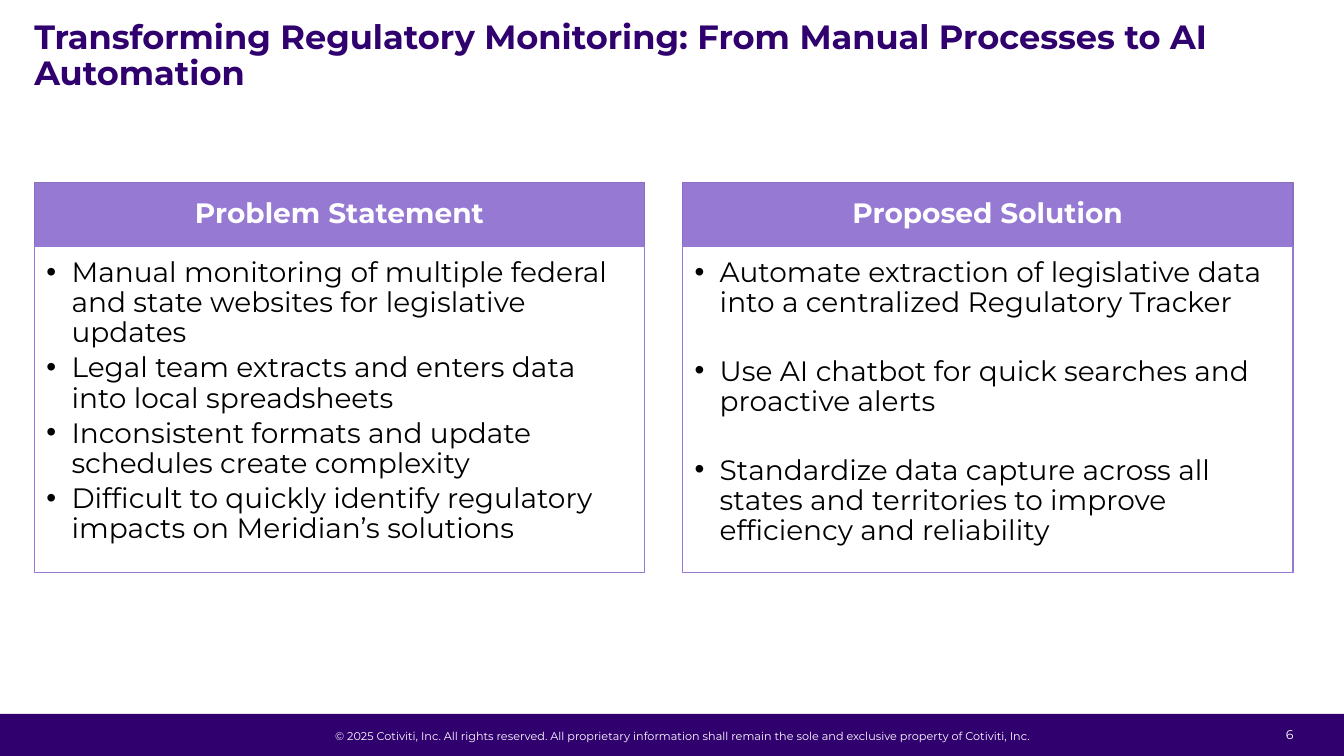
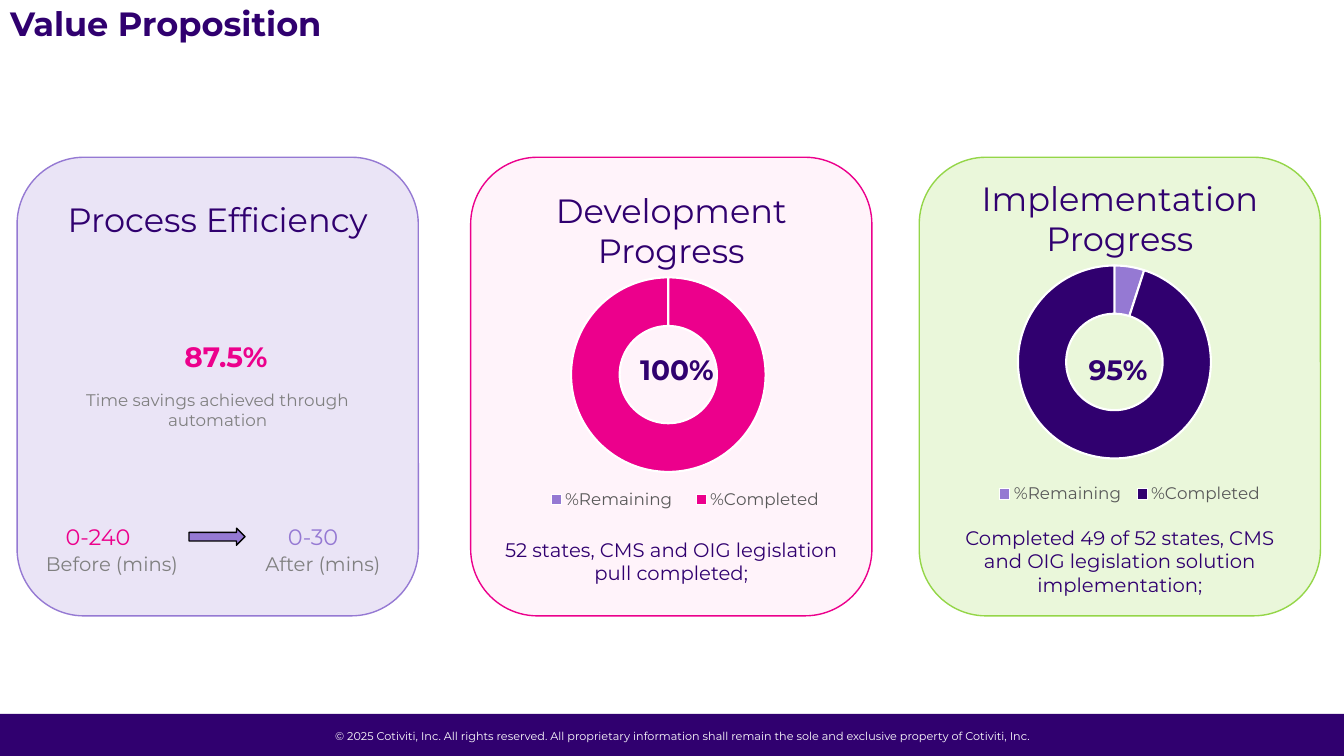
from pptx import Presentation
from pptx.chart.data import CategoryChartData
from pptx.dml.color import RGBColor
from pptx.enum.chart import XL_CHART_TYPE as CHART, XL_LEGEND_POSITION as LEGEND
from pptx.enum.shapes import MSO_SHAPE as SHAPE
from pptx.enum.text import MSO_ANCHOR as ANCHOR, PP_ALIGN as ALIGN
from pptx.oxml import parse_xml
from pptx.oxml.ns import nsdecls, qn
from pptx.util import Pt

FONT = "Montserrat"
COLORS = {name: RGBColor.from_string(value) for name, value in {
    "indigo": "30006F", "violet": "9579D3", "violet_edge": "876EBF",
    "lavender": "EAE4F6", "pink": "EC008C", "blush": "FFF3FA",
    "green": "94D648", "mint": "EAF7DA", "white": "FFFFFF",
    "black": "000000", "gray": "808080", "legend": "595959",
}.items()}


def add_box(slide, kind, box, fill, line=None):
    shape = slide.shapes.add_shape(kind, *map(Pt, box))
    shape.shadow.inherit = False
    shape.fill.solid()
    shape.fill.fore_color.rgb = COLORS[fill]
    if line:
        shape.line.color.rgb = COLORS[line]
        shape.line.width = Pt(1)
    else:
        shape.line.fill.background()
    return shape


def write(shape, lines, size, color, bold=False, align=ALIGN.CENTER,
          anchor=ANCHOR.MIDDLE, insets=(0, 0, 0, 0), spacing=1.0, gap=0, bullet=False):
    frame = shape.text_frame
    frame.word_wrap = True
    frame.vertical_anchor = anchor
    frame.margin_left, frame.margin_top, frame.margin_right, frame.margin_bottom = map(Pt, insets)
    for index, line in enumerate(lines):
        paragraph = frame.paragraphs[0] if index == 0 else frame.add_paragraph()
        paragraph.text = line
        paragraph.alignment = align
        paragraph.line_spacing = spacing
        paragraph.space_after = Pt(gap)
        if bullet:
            properties = paragraph._p.get_or_add_pPr()
            properties.set("marL", str(Pt(18)))
            properties.set("indent", str(-Pt(18)))
            properties.append(parse_xml(f'<a:buFont {nsdecls("a")} typeface="Arial"/>'))
            properties.append(parse_xml(f'<a:buChar {nsdecls("a")} char="•"/>'))
        paragraph.font.name = FONT
        paragraph.font.size = Pt(size)
        paragraph.font.bold = bold
        paragraph.font.color.rgb = COLORS[color]


prs = Presentation()
prs.slide_width, prs.slide_height = Pt(960), Pt(540)

titles = [
    ("Transforming Regulatory Monitoring: From Manual Processes to AI Automation",
     (24.5, 4.3, 888, 72)),
    ("Value Proposition", (7.2, 3.6, 350, 30)),
]
copyright_line = ("© 2025 Cotiviti, Inc. All rights reserved. All proprietary information "
                  "shall remain the sole and exclusive property of Cotiviti, Inc.")
slides = []
for title, title_box in titles:
    slide = prs.slides.add_slide(prs.slide_layouts[6])
    add_box(slide, SHAPE.RECTANGLE, (0, 510, 960, 30), "indigo")
    footer = slide.shapes.add_textbox(Pt(231), Pt(517), Pt(514), Pt(17))
    write(footer, [copyright_line], 8, "white")
    heading = slide.shapes.add_textbox(*map(Pt, title_box))
    write(heading, [title], 24, "indigo", bold=True, align=ALIGN.LEFT, spacing=0.9)
    slides.append(slide)
comparison, value = slides

page_number = comparison.shapes.add_textbox(Pt(886), Pt(514), Pt(38), Pt(21.6))
write(page_number, ["6"], 9, "white", align=ALIGN.RIGHT)

panels = [
    ("Problem Statement", 3.5, [
        "Manual monitoring of multiple federal and state websites for legislative updates",
        "Legal team extracts and enters data into local spreadsheets",
        "Inconsistent formats and update schedules create complexity",
        "Difficult to quickly identify regulatory impacts on Meridian’s solutions",
    ]),
    ("Proposed Solution", 27.5, [
        "Automate extraction of legislative data into a centralized Regulatory Tracker",
        "Use AI chatbot for quick searches and proactive alerts",
        "Standardize data capture across all states and territories to improve "
        "efficiency and reliability",
    ]),
]
for column, (header, gap, points) in enumerate(panels):
    left = 24.5 + column * 463
    header_band = add_box(comparison, SHAPE.RECTANGLE, (left, 130.3, 436, 45.4),
                          "violet", "violet_edge")
    write(header_band, [header], 20, "white", bold=True, spacing=0.9)
    body = add_box(comparison, SHAPE.RECTANGLE, (left, 175.7, 436, 233.3), "white", "violet")
    write(body, points, 20, "black", align=ALIGN.LEFT, anchor=ANCHOR.TOP,
          insets=(8.6, 8.6, 11.5, 12.2), spacing=0.9, gap=gap, bullet=True)

cards = [
    (12.2, "Process Efficiency", 156.5, "lavender", "violet"),
    (336.2, "Development Progress", 164.3, "blush", "pink"),
    (656.6, "Implementation Progress", 155.7, "mint", "green"),
]
for left, name, middle, fill, edge in cards:
    add_box(value, SHAPE.ROUNDED_RECTANGLE, (left, 112.3, 286.6, 327.6), fill, edge)
    card_title = value.shapes.add_textbox(Pt(left + 21.3), Pt(middle - 30), Pt(244), Pt(60))
    write(card_title, [name], 24, "indigo")

add_box(value, SHAPE.RIGHT_ARROW, (135, 377.3, 40, 12.2), "violet", "black")

rings = [
    ((320.4, 100.1, 301.7, 294.5), (0, 100), "pink",
     (0.29, 0.333, 0.461, 0.472), (0.2, 0.835, 0.72, 0.075)),
    ((681.8, 139.7, 250.6, 236.9), (5, 95), "indigo",
     (0.18, 0.211, 0.552, 0.582), (0.1, 0.855, 0.8, 0.09)),
]
for box, shares, completed_color, plot_layout, legend_layout in rings:
    data = CategoryChartData()
    data.categories = ["%Remaining", "%Completed"]
    data.add_series("Series 1", shares)
    chart = value.shapes.add_chart(CHART.DOUGHNUT, *map(Pt, box), data).chart
    chart.has_title = False
    chart.font.name = FONT
    chart.font.size = Pt(10)
    chart.has_legend = True
    chart.legend.position = LEGEND.BOTTOM
    chart.legend.include_in_layout = False
    chart.legend.font.name = FONT
    chart.legend.font.size = Pt(12)
    chart.legend.font.color.rgb = COLORS["legend"]
    plot = chart.plots[0]
    plot.vary_by_categories = True
    for index, color in enumerate(("violet", completed_color)):
        part = plot.series[0].points[index].format
        part.fill.solid()
        part.fill.fore_color.rgb = COLORS[color]
        part.line.color.rgb = COLORS["white"]
        part.line.width = Pt(1.5)
    chart_space = chart._chartSpace
    chart_space.xpath(".//c:holeSize")[0].set("val", "75")
    plot_area = chart_space.xpath(".//c:plotArea")[0]
    legend = chart_space.xpath(".//c:legend")[0]
    for parent, place, target in ((plot_area, plot_layout, '<c:layoutTarget val="inner"/>'),
                                  (legend, legend_layout, "")):
        for old_layout in parent.findall(qn("c:layout")):
            parent.remove(old_layout)
        modes = "".join(f'<c:{axis}Mode val="edge"/>' for axis in "xy")
        sizes = "".join(f'<c:{key} val="{number}"/>' for key, number in zip("xywh", place))
        layout = parse_xml(f'<c:layout {nsdecls("c")}><c:manualLayout>{target}{modes}{sizes}'
                           '</c:manualLayout></c:layout>')
        parent.insert(0 if parent is plot_area else 1, layout)

labels = [
    ("87.5%", 161.4, 254.3, 90, 20, "pink", True),
    ("Time savings achieved through automation", 155.5, 293, 244, 12, "gray", False),
    ("0-240", 70, 383.6, 90, 16, "pink", False),
    ("Before (mins)", 80, 402.3, 110, 14, "gray", False),
    ("0-30", 223.6, 383.6, 90, 16, "violet", False),
    ("After (mins)", 230.7, 402.3, 110, 14, "gray", False),
    ("100%", 483.6, 263.6, 76, 20, "indigo", True),
    ("52 states, CMS and OIG legislation pull completed;",
     479.5, 400.7, 244, 14, "indigo", False),
    ("95%", 798.6, 263.6, 76, 20, "indigo", True),
    ("Completed 49 of 52 states, CMS and OIG legislation solution implementation;",
     800, 400.7, 244, 14, "indigo", False),
]
for text, center, middle, width, size, color, bold in labels:
    label = value.shapes.add_textbox(Pt(center - width / 2), Pt(middle - 15), Pt(width), Pt(30))
    write(label, [text], size, color, bold=bold)

prs.save("out.pptx")
